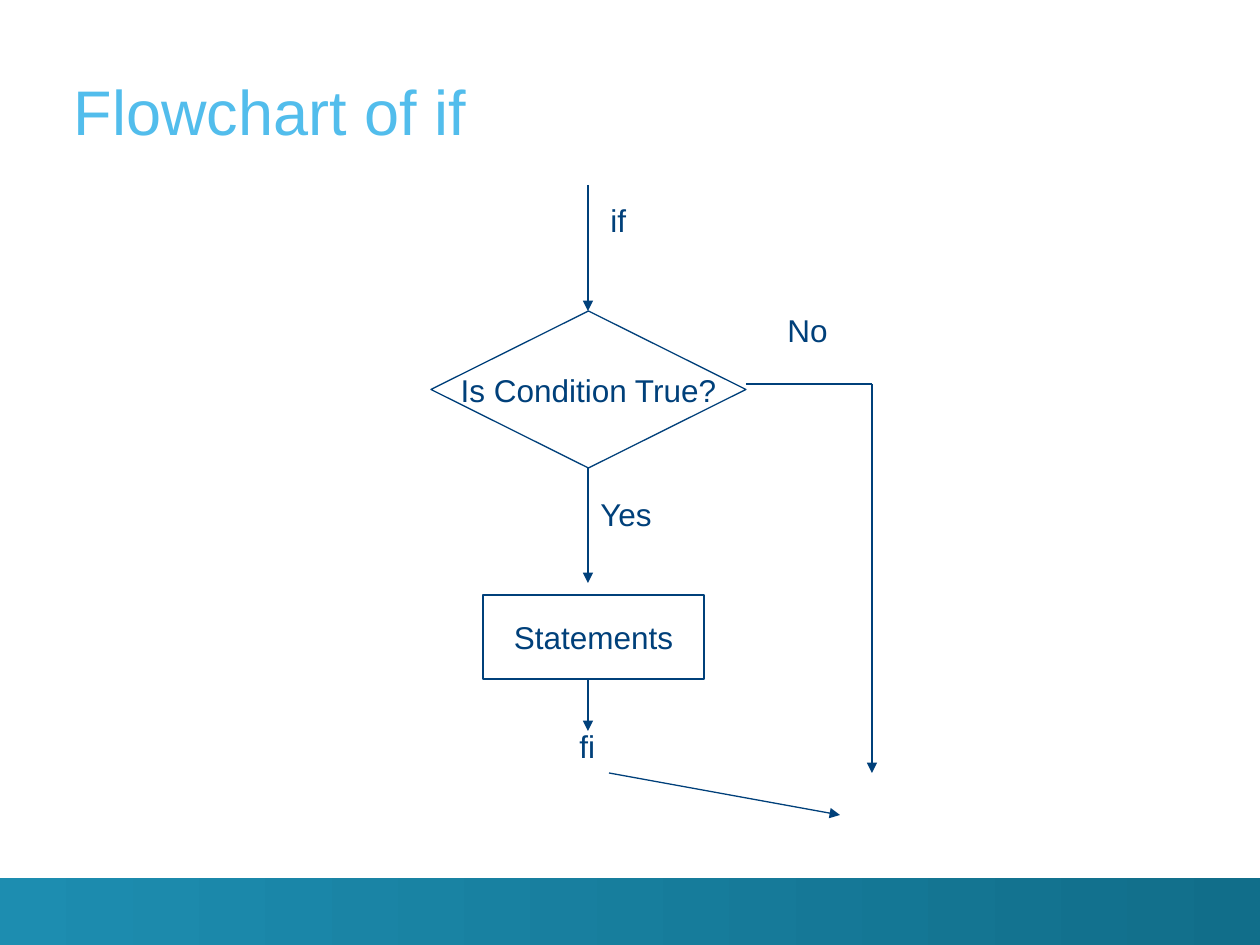
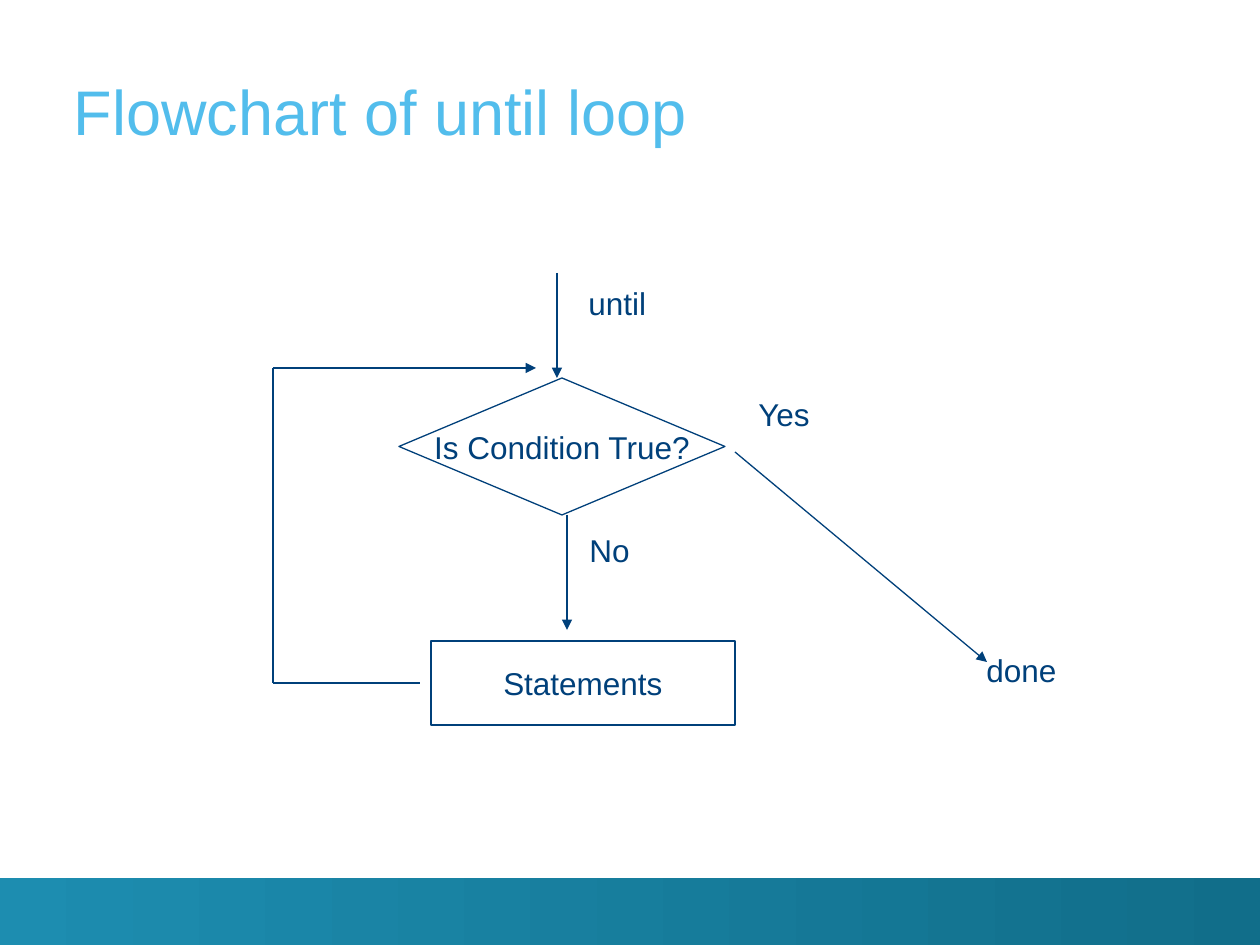
"""Build two flowchart slides: the shell's if statement and until loop."""
from itertools import pairwise

from lxml.etree import SubElement
from pptx import Presentation
from pptx.dml.color import RGBColor
from pptx.enum.shapes import MSO_CONNECTOR, MSO_SHAPE
from pptx.enum.text import MSO_ANCHOR, PP_ALIGN
from pptx.oxml.ns import qn
from pptx.util import Emu, Inches, Pt

FLOWCHARTS = [
    {
        "title": "Flowchart of if",
        "steps": [
            ("Is Condition True?", MSO_SHAPE.FLOWCHART_DECISION, (431, 311, 315, 157)),
            ("Statements", MSO_SHAPE.RECTANGLE, (483, 595, 221, 84)),
        ],
        "labels": [
            ("if", (598, 195, 48)),
            ("fi", (567, 721, 48)),
            ("Yes", (588, 489, 91)),
            ("No", (775, 305, 76)),
        ],
        "arrows": [
            [(588, 185), (588, 311)],
            [(588, 468), (588, 583)],
            [(746, 384), (872, 384), (872, 773)],
            [(588, 679), (588, 731)],
            [(609, 773), (840, 815)],
        ],
    },
    {
        "title": "Flowchart of until loop",
        "steps": [
            ("Is Condition True?", MSO_SHAPE.FLOWCHART_DECISION, (399, 378, 326, 137)),
            ("Statements", MSO_SHAPE.RECTANGLE, (431, 641, 304, 84)),
        ],
        "labels": [
            ("until", (576, 278, 106)),
            ("No", (577, 525, 76)),
            ("Yes", (746, 389, 91)),
            ("done", (974, 645, 117)),
        ],
        "arrows": [
            [(557, 273), (557, 378)],
            [(567, 515), (567, 630)],
            [(420, 683), (273, 683), (273, 368), (536, 368)],
            [(735, 452), (987, 662)],
        ],
    },
]

SCALE = Inches(1) / 126
SLIDE_SIZE = (1260, 945)
BAND_HEIGHT = 67
TITLE_BOX = (74, 25, 1148, 123)
LABEL_HEIGHT = 63

INK = RGBColor.from_string("00407A")
THEME = {
    "title_font": {"name": "Arial", "size": Pt(36), "color": RGBColor.from_string("52BDEC")},
    "body_font": {"name": "Arial", "size": Pt(18), "color": INK},
    "line": {"width": Pt(0.75), "color": INK},
    "band": [RGBColor.from_string("1D8DB0"), RGBColor.from_string("116E8A")],
}
TITLE_FRAME = {
    "word_wrap": True, "vertical_anchor": MSO_ANCHOR.BOTTOM,
    "margin_left": 0, "margin_top": 0, "margin_right": 0, "margin_bottom": 0,
}
LABEL_FRAME = {"word_wrap": True, "vertical_anchor": MSO_ANCHOR.TOP}
STEP_FRAME = {"word_wrap": False, "vertical_anchor": MSO_ANCHOR.MIDDLE}


def emu(*lengths):
    return [Emu(round(length * SCALE)) for length in lengths]


def apply(target, values):
    for name, value in values.items():
        if name == "color":
            target.color.rgb = value
        else:
            setattr(target, name, value)


def write(holder, text, frame, font, alignment=PP_ALIGN.LEFT):
    apply(holder.text_frame, frame)
    paragraph = holder.text_frame.paragraphs[0]
    paragraph.alignment = alignment
    run = paragraph.add_run()
    run.text = text
    apply(run.font, font)


def add_band(slide):
    width, height = SLIDE_SIZE
    band = slide.shapes.add_shape(
        MSO_SHAPE.RECTANGLE, *emu(0, height - BAND_HEIGHT, width, BAND_HEIGHT))
    band.shadow.inherit = False
    band.line.fill.background()
    band.fill.gradient()
    band.fill.gradient_angle = 0
    for stop, color in zip(band.fill.gradient_stops, THEME["band"]):
        stop.color.rgb = color


def add_title(slide, title):
    heading = slide.shapes.add_textbox(*emu(*TITLE_BOX))
    write(heading, title, TITLE_FRAME, THEME["title_font"])


def add_step(slide, text, outline, box):
    step = slide.shapes.add_shape(outline, *emu(*box))
    step.shadow.inherit = False
    step.fill.background()
    apply(step.line, THEME["line"])
    write(step, text, STEP_FRAME, THEME["body_font"], PP_ALIGN.CENTER)


def add_label(slide, text, place):
    label = slide.shapes.add_textbox(*emu(*place, LABEL_HEIGHT))
    write(label, text, LABEL_FRAME, THEME["body_font"])


def add_arrow(slide, points):
    for start, end in pairwise(points):
        segment = slide.shapes.add_connector(MSO_CONNECTOR.STRAIGHT, *emu(*start, *end))
        apply(segment.line, THEME["line"])
        properties = segment.element.spPr
        SubElement(properties, qn("a:effectLst"))
        if end == points[-1]:
            SubElement(properties.find(qn("a:ln")), qn("a:tailEnd"), type="triangle")


def main():
    deck = Presentation()
    deck.slide_width, deck.slide_height = emu(*SLIDE_SIZE)
    for chart in FLOWCHARTS:
        slide = deck.slides.add_slide(deck.slide_layouts[6])
        add_band(slide)
        add_title(slide, chart["title"])
        for step in chart["steps"]:
            add_step(slide, *step)
        for points in chart["arrows"]:
            add_arrow(slide, points)
        for label in chart["labels"]:
            add_label(slide, *label)
    deck.save("out.pptx")


if __name__ == "__main__":
    main()
